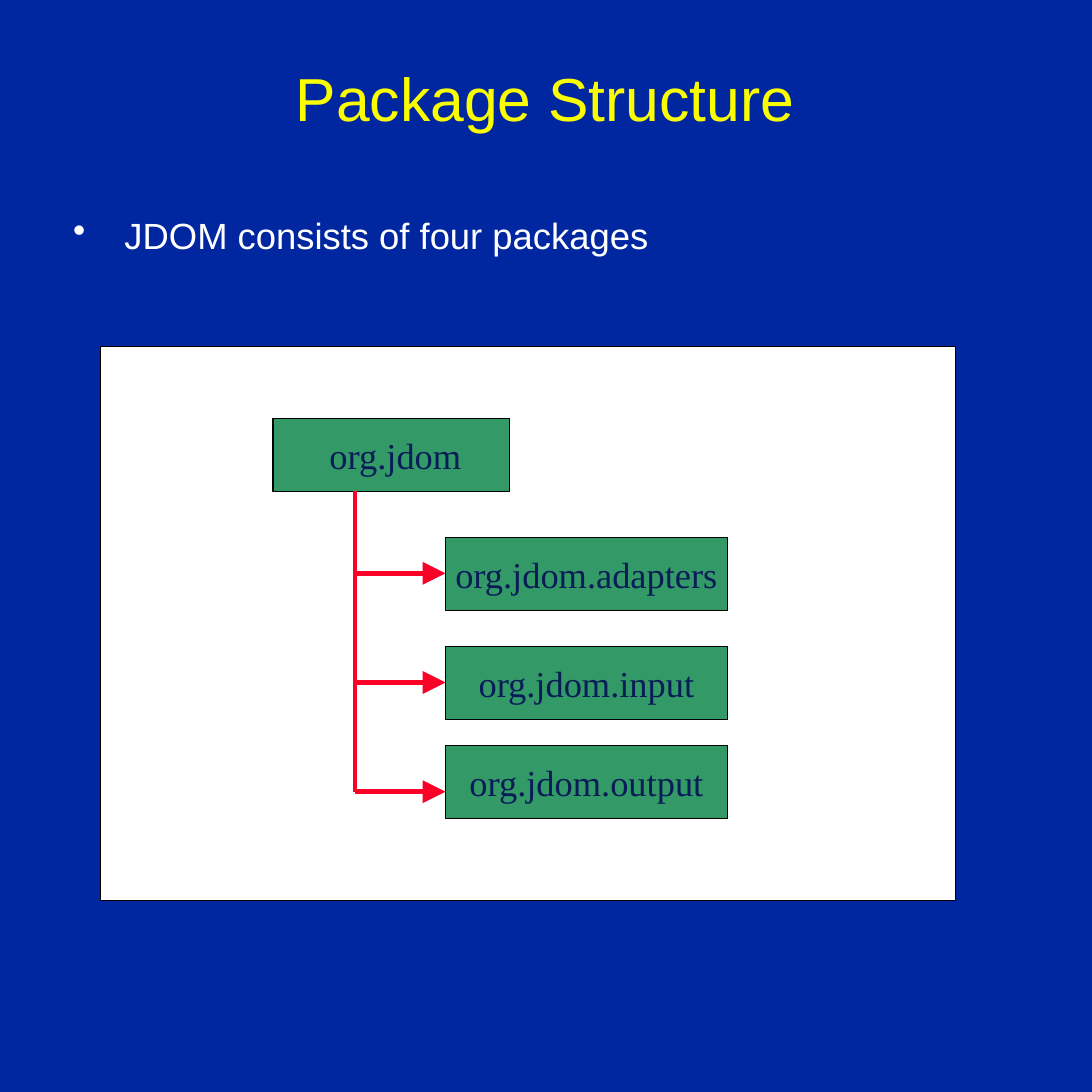
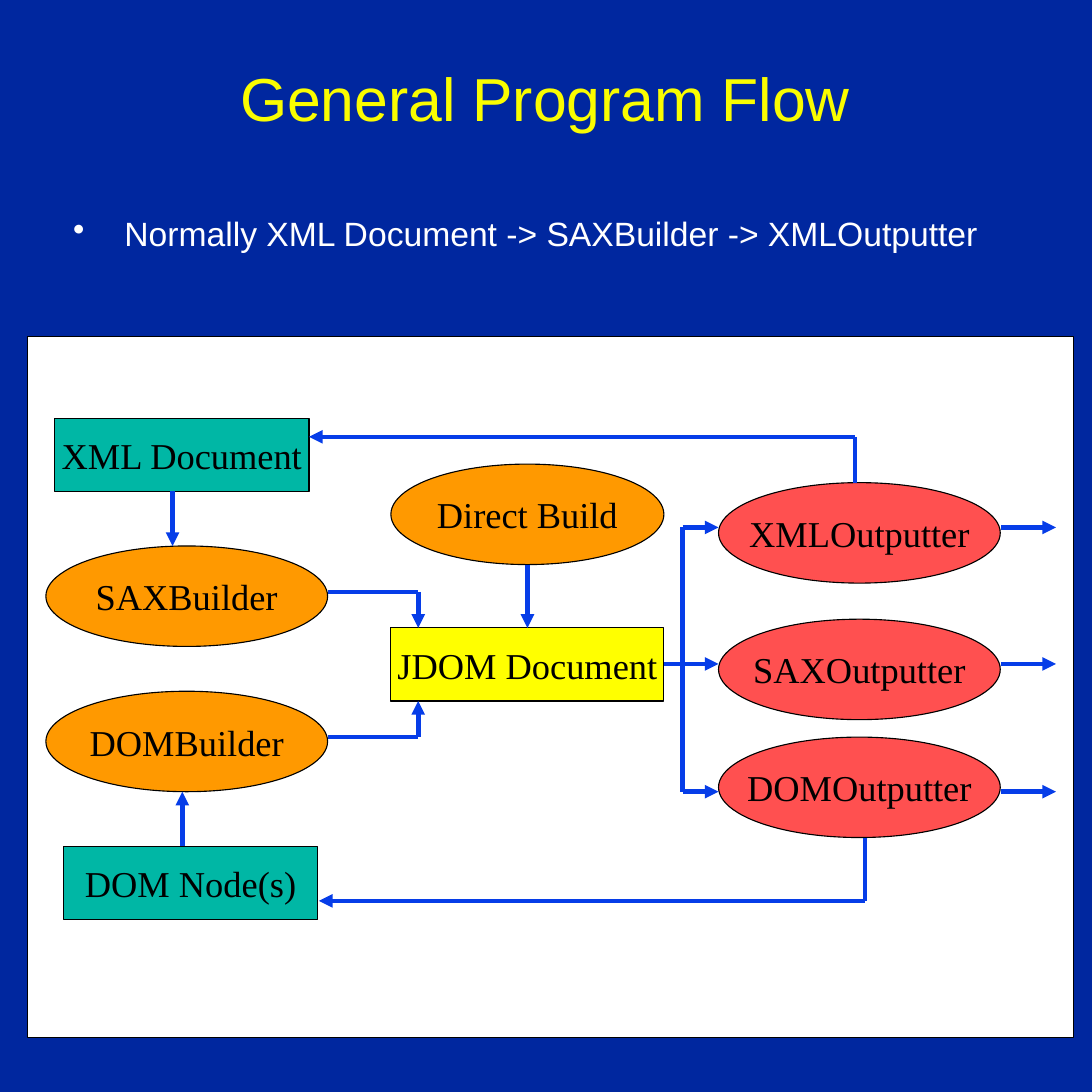
"""Build two slides on JDOM: its package structure and its general program flow."""
from itertools import pairwise

from lxml import etree
from pptx import Presentation
from pptx import util as u
from pptx.dml.color import RGBColor
from pptx.enum import shapes, text
from pptx.oxml.ns import qn

COLORS = {
    "background": "00279F", "title": "FAFD00", "body": "FFFFFF",
    "panel": "FFFFFF", "outline": "000000", "ink": "000000",
    "package": "339966", "package_ink": "081D58", "tree": "FC0128",
    "source": "00B7A5", "builder": "FF9900", "document": "FFFF00",
    "outputter": "FF5050", "flow": "063DE8",
}
RGB = {name: RGBColor.from_string(value) for name, value in COLORS.items()}
RECT, OVAL = shapes.MSO_SHAPE.RECTANGLE, shapes.MSO_SHAPE.OVAL


def add_node(slide, outline, place, fill, label="", ink="ink"):
    node = slide.shapes.add_shape(outline, *map(u.Inches, place))
    node.shadow.inherit = False
    node.fill.solid()
    node.fill.fore_color.rgb = RGB[fill]
    node.line.color.rgb = RGB["outline"]
    node.line.width = u.Pt(0.75)
    frame = node.text_frame
    frame.word_wrap = False
    frame.vertical_anchor = text.MSO_ANCHOR.MIDDLE
    caption = frame.paragraphs[0]
    caption.text = label
    caption.alignment = text.PP_ALIGN.CENTER
    caption.font.size, caption.font.name = u.Pt(24), "Times New Roman"
    caption.font.color.rgb = RGB[ink]
    return node


def add_route(slide, points, color, head="med"):
    for start, end in pairwise(points):
        leg = slide.shapes.add_connector(
            shapes.MSO_CONNECTOR.STRAIGHT, *map(u.Inches, start + end))
        leg.line.color.rgb = RGB[color]
        leg.line.width = u.Pt(3)
        properties = leg._element.spPr
        if end == points[-1]:
            etree.SubElement(properties.find(qn("a:ln")), qn("a:tailEnd"),
                             type="triangle", w=head, len=head)
        etree.SubElement(properties, qn("a:effectLst"))


deck = Presentation()
deck.slide_width = deck.slide_height = u.Inches(10)

outline = [
    ("Package Structure", "JDOM consists of four packages", 24,
     (0.92, 3.17, 7.83, 5.08)),
    ("General Program Flow",
     "Normally XML Document -> SAXBuilder -> XMLOutputter", 22.2,
     (0.25, 3.08, 9.58, 6.42)),
]
for title, point, point_size, panel in outline:
    slide = deck.slides.add_slide(deck.slide_layouts[6])
    slide.background.fill.solid()
    slide.background.fill.fore_color.rgb = RGB["background"]
    add_node(slide, RECT, panel, "panel")
    for words, size, color, place in [
        (title, 40, "title", (0.5, 0.38, 8.98, 1.02)),
        (point, point_size, "body", (0.55, 1.89, 8.86, 0.53)),
    ]:
        frame = slide.shapes.add_textbox(*map(u.Inches, place)).text_frame
        frame.word_wrap = True
        frame.margin_left = frame.margin_right = u.Inches(0.12)
        frame.margin_top = frame.margin_bottom = u.Inches(0.06)
        line = frame.paragraphs[0]
        line.text = words
        line.font.size, line.font.name = u.Pt(size), "Arial"
        line.font.color.rgb = RGB[color]
        if color == "title":
            frame.vertical_anchor = text.MSO_ANCHOR.MIDDLE
            line.alignment = text.PP_ALIGN.CENTER
        else:
            line.space_before = u.Pt(6)
            bullet = line._p.get_or_add_pPr()
            bullet.set("marL", str(u.Inches(0.47)))
            bullet.set("indent", str(-u.Inches(0.47)))
            etree.SubElement(bullet, qn("a:buChar"), char="•")

structure, flow = deck.slides

root = add_node(structure, RECT, (2.5, 3.83, 2.17, 0.67), "package",
                "org.jdom", "package_ink")
root.text_frame.margin_left = u.Inches(0.17)
for name, top in [("adapters", 4.92), ("input", 5.92), ("output", 6.83)]:
    add_node(structure, RECT, (4.08, top, 2.58, 0.67), "package",
             f"org.jdom.{name}", "package_ink")
for branch in (5.25, 6.25, 7.25):
    add_route(structure, [(3.25, 4.5), (3.25, branch), (4.08, branch)],
              "tree", "lg")

for label, left, top in [("XML Document", 0.5, 3.83), ("DOM Node(s)", 0.58, 7.75)]:
    add_node(flow, RECT, (left, top, 2.33, 0.67), "source", label)
add_node(flow, RECT, (3.58, 5.75, 2.5, 0.67), "document", "JDOM Document")
for label, left, top, width in [
    ("SAXBuilder", 0.42, 5, 2.58),
    ("DOMBuilder", 0.42, 6.33, 2.58),
    ("Direct Build", 3.58, 4.25, 2.5),
]:
    add_node(flow, OVAL, (left, top, width, 0.92), "builder", label)

for label, top, level in [
    ("XMLOutputter", 4.42, 4.83),
    ("SAXOutputter", 5.67, 6.08),
    ("DOMOutputter", 6.75, 7.25),
]:
    add_node(flow, OVAL, (6.58, top, 2.58, 0.92), "outputter", label)
    if level == 6.08:
        add_route(flow, [(6.08, level), (6.58, level)], "flow")
    else:
        add_route(flow, [(6.25, 6.08), (6.25, level), (6.58, level)], "flow")
    add_route(flow, [(9.17, level), (9.67, level)], "flow")

for points in [
    [(1.58, 4.5), (1.58, 5)],
    [(1.67, 7.75), (1.67, 7.25)],
    [(3, 5.42), (3.83, 5.42), (3.83, 5.75)],
    [(3, 6.75), (3.83, 6.75), (3.83, 6.42)],
    [(4.83, 5.17), (4.83, 5.75)],
    [(7.83, 4.42), (7.83, 4), (2.83, 4)],
    [(7.92, 7.67), (7.92, 8.25), (2.92, 8.25)],
]:
    add_route(flow, points, "flow")

deck.save("out.pptx")
